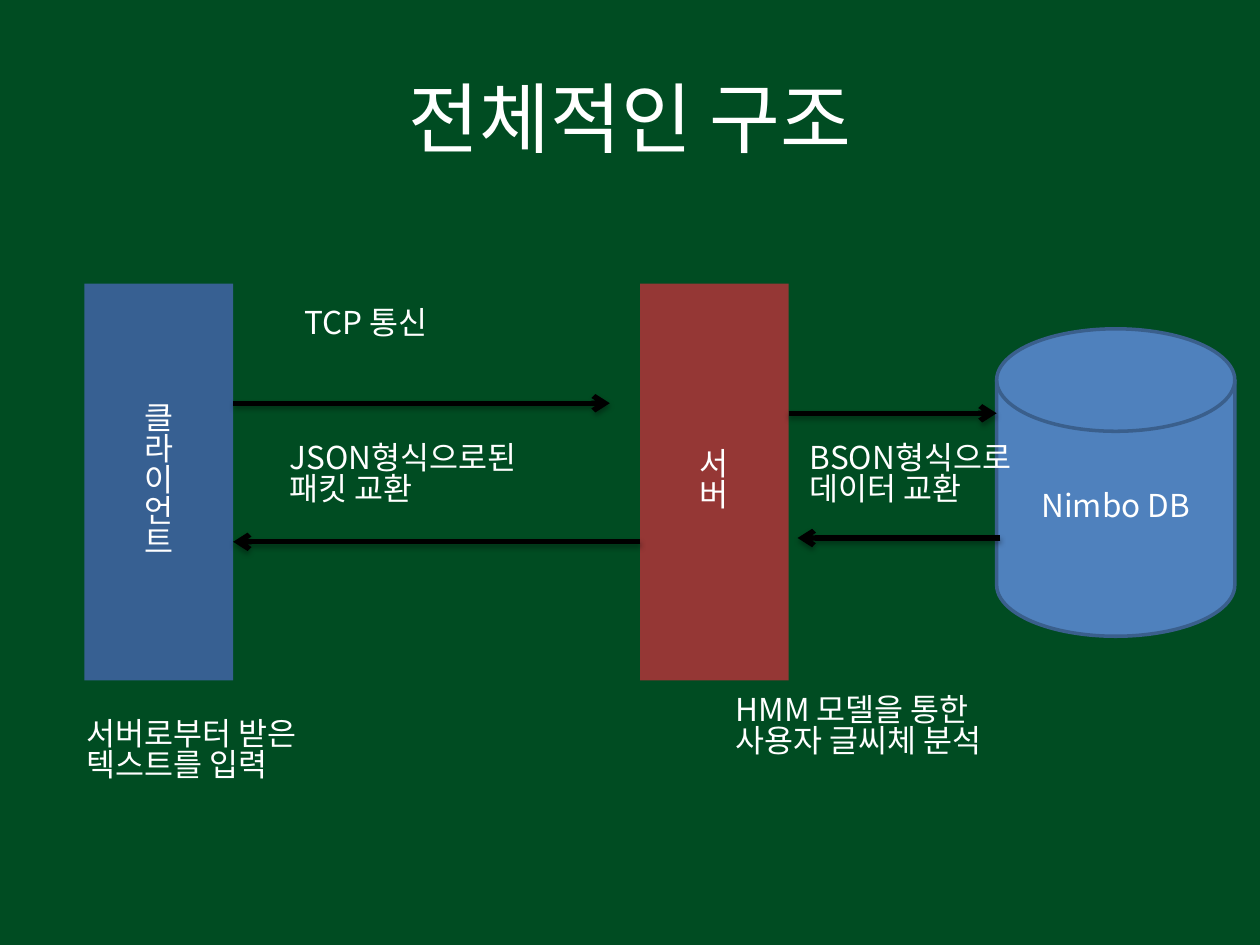
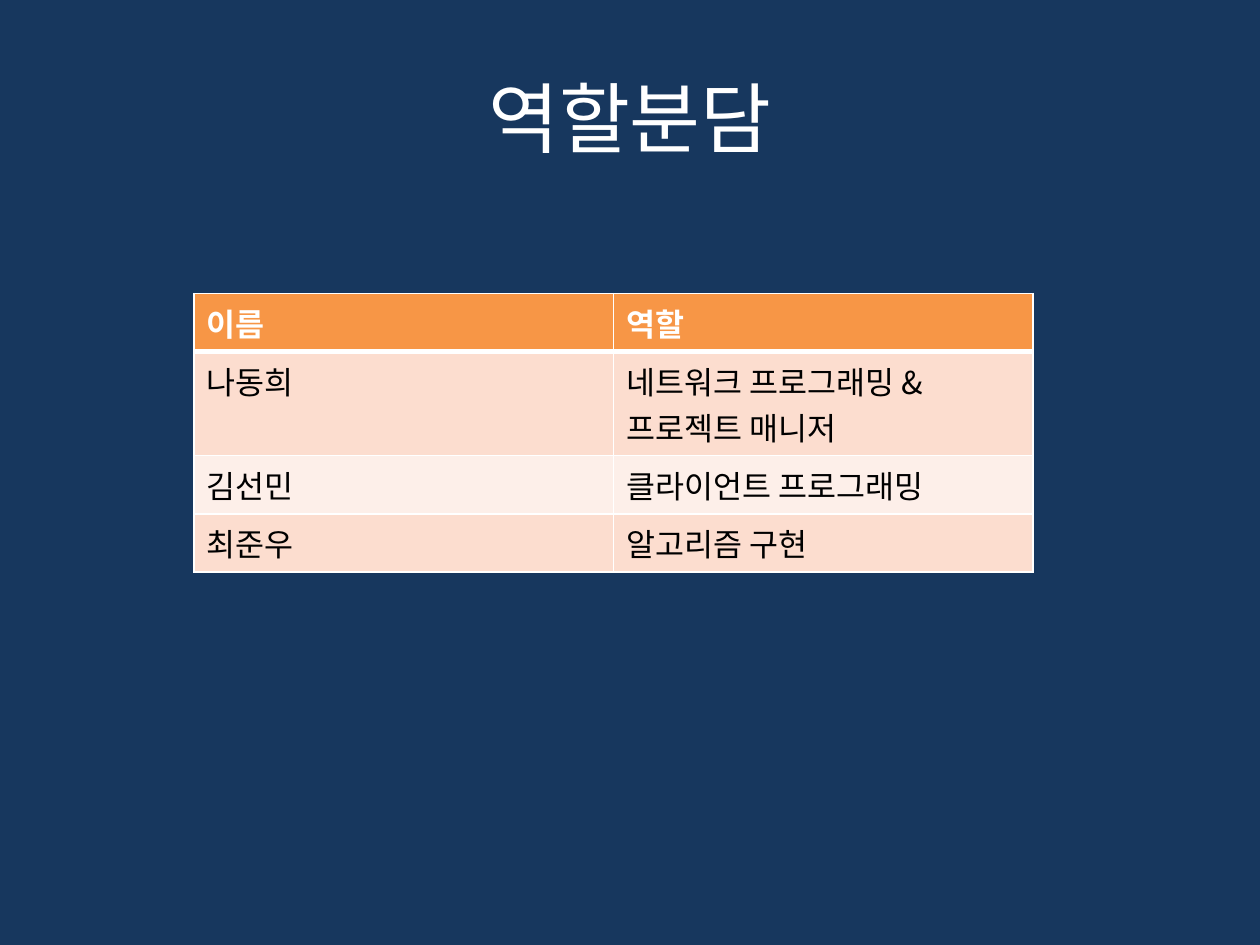
from lxml.etree import SubElement
from pptx import Presentation
from pptx.dml.color import RGBColor
from pptx.enum.shapes import MSO_CONNECTOR, MSO_SHAPE
from pptx.enum.text import MSO_ANCHOR, MSO_AUTO_SIZE, PP_ALIGN
from pptx.oxml import parse_xml
from pptx.oxml.ns import nsdecls, qn
from pptx.util import Inches, Pt

FONT = "Noto Sans CJK KR"
BODY_SIZE, TITLE_SIZE = 18, 44
TIGHT = 0.82
COLORS = {
    "green": "004C22", "navy": "17375E", "white": "FFFFFF", "black": "000000",
    "client": "376092", "server": "953735", "disk": "4F81BD", "disk_edge": "3A5F8C",
    "header": "F79646", "odd_row": "FCDDCF", "even_row": "FDEFE9",
}
BLOCK_TOP, BLOCK_WIDTH, BLOCK_HEIGHT = 2.25, 1.18, 3.15
CLIENT_LEFT, SERVER_LEFT, DISK_LEFT = 0.67, 5.08, 7.91
CLIENT_RIGHT, SERVER_RIGHT = CLIENT_LEFT + BLOCK_WIDTH, SERVER_LEFT + BLOCK_WIDTH


def rgb(name):
    return RGBColor.from_string(COLORS[name])


def write(tf, lines, size=BODY_SIZE, color="white", bold=False, align=None, spacing=None):
    """Fill a text frame, one paragraph a line, in the shared Korean font."""
    tf.text = "\n".join(lines)
    for p in tf.paragraphs:
        p.alignment = align
        p.line_spacing = spacing
        for r in p.runs:
            r.font.size, r.font.bold, r.font.name = Pt(size), bold, FONT
            r.font.color.rgb = rgb(color)
            SubElement(r.font._element, qn("a:ea")).set("typeface", FONT)


def add_slide(prs, title, background):
    s = prs.slides.add_slide(prs.slide_layouts[5])
    s.background.fill.solid()
    s.background.fill.fore_color.rgb = rgb(background)
    write(s.shapes.title.text_frame, [title], TITLE_SIZE, align=PP_ALIGN.CENTER)
    return s


def add_block(s, kind, box, lines, fill, edge=None):
    sp = s.shapes.add_shape(kind, *map(Inches, box))
    sp.shadow.inherit = False
    sp.fill.solid()
    sp.fill.fore_color.rgb = rgb(fill)
    if edge:
        sp.line.color.rgb, sp.line.width = rgb(edge), Pt(2)
    else:
        sp.line.fill.background()
    sp.text_frame.vertical_anchor = MSO_ANCHOR.MIDDLE
    write(sp.text_frame, lines, align=PP_ALIGN.CENTER, spacing=TIGHT)


def add_label(s, left, top, width, *lines):
    height = 0.1 + 0.3 * len(lines)
    tf = s.shapes.add_textbox(*map(Inches, (left, top, width, height))).text_frame
    tf.word_wrap = True
    tf.auto_size = MSO_AUTO_SIZE.SHAPE_TO_FIT_TEXT
    write(tf, lines, spacing=TIGHT)


def add_arrow(s, start, end, y):
    """Draw a level arrow with a soft shadow below it."""
    c = s.shapes.add_connector(MSO_CONNECTOR.STRAIGHT, *map(Inches, (start, y, end, y)))
    c.line.color.rgb, c.line.width = rgb("black"), Pt(3)
    SubElement(c.line._get_or_add_ln(), qn("a:tailEnd")).set("type", "arrow")
    c._element.spPr.append(parse_xml(
        f'<a:effectLst {nsdecls("a")}><a:outerShdw blurRad="{Pt(3.1)}" dist="{Pt(1.8)}" '
        f'dir="5400000" rotWithShape="0"><a:srgbClr val="{COLORS["black"]}">'
        '<a:alpha val="35000"/></a:srgbClr></a:outerShdw></a:effectLst>'))


def set_borders(cell, top, bottom):
    """Put white lines round a cell; top and bottom widths are in points."""
    tc_pr = cell._tc.get_or_add_tcPr()
    for i, (side, width) in enumerate(zip("LRTB", (1, 1, top, bottom))):
        tc_pr.insert(i, parse_xml(
            f'<a:ln{side} {nsdecls("a")} w="{Pt(width)}"><a:solidFill>'
            f'<a:srgbClr val="{COLORS["white"]}"/></a:solidFill></a:ln{side}>'))


def add_role_table(s, rows, left, top, column_width, row_height):
    columns = len(rows[0])
    box = (left, top, column_width * columns, row_height * len(rows))
    table = s.shapes.add_table(len(rows), columns, *map(Inches, box)).table
    for i, row in enumerate(rows):
        header = i == 0
        fill = "header" if header else "odd_row" if i % 2 else "even_row"
        for j, text in enumerate(row):
            cell = table.cell(i, j)
            cell.fill.solid()
            cell.fill.fore_color.rgb = rgb(fill)
            write(cell.text_frame, text.split("\n"),
                  color="white" if header else "black", bold=header)
            set_borders(cell, top=3 if i == 1 else 1, bottom=3 if header else 1)


def build_structure(prs):
    s = add_slide(prs, "전체적인 구조", "green")
    for left, word, fill in ((CLIENT_LEFT, "클라이언트", "client"),
                             (SERVER_LEFT, "서버", "server")):
        add_block(s, MSO_SHAPE.RECTANGLE, (left, BLOCK_TOP, BLOCK_WIDTH, BLOCK_HEIGHT),
                  list(word), fill)
    add_block(s, MSO_SHAPE.FLOWCHART_MAGNETIC_DISK, (DISK_LEFT, 2.61, 1.89, 2.44),
              ["Nimbo DB"], "disk", "disk_edge")
    for start, end, y in ((CLIENT_RIGHT, 4.84, 3.2), (SERVER_LEFT, CLIENT_RIGHT, 4.3),
                          (SERVER_RIGHT, DISK_LEFT, 3.28), (7.94, 6.33, 4.27)):
        add_arrow(s, start, end, y)
    add_label(s, 2.2, 3.48, 2.52, "JSON형식으로된", "패킷 교환")
    add_label(s, 5.74, 5.48, 2.52, "HMM 모델을 통한", "사용자 글씨체 분석")
    add_label(s, 6.33, 3.48, 2.08, "BSON형식으로", "데이터 교환")
    add_label(s, 0.59, 5.67, 2.52, "서버로부터 받은", "텍스트를 입력")
    add_label(s, 2.32, 2.41, 2.2, "TCP 통신")


def build_roles(prs):
    s = add_slide(prs, "역할분담", "navy")
    rows = (("이름", "역할"),
            ("나동희", "네트워크 프로그래밍 &\n프로젝트 매니저"),
            ("김선민", "클라이언트 프로그래밍"),
            ("최준우", "알고리즘 구현"))
    add_role_table(s, rows, left=1.54, top=2.33, column_width=3.33, row_height=0.41)


def main():
    prs = Presentation()
    prs.slide_width, prs.slide_height = Inches(10), Inches(7.5)
    build_structure(prs)
    build_roles(prs)
    prs.save("out.pptx")


if __name__ == "__main__":
    main()
